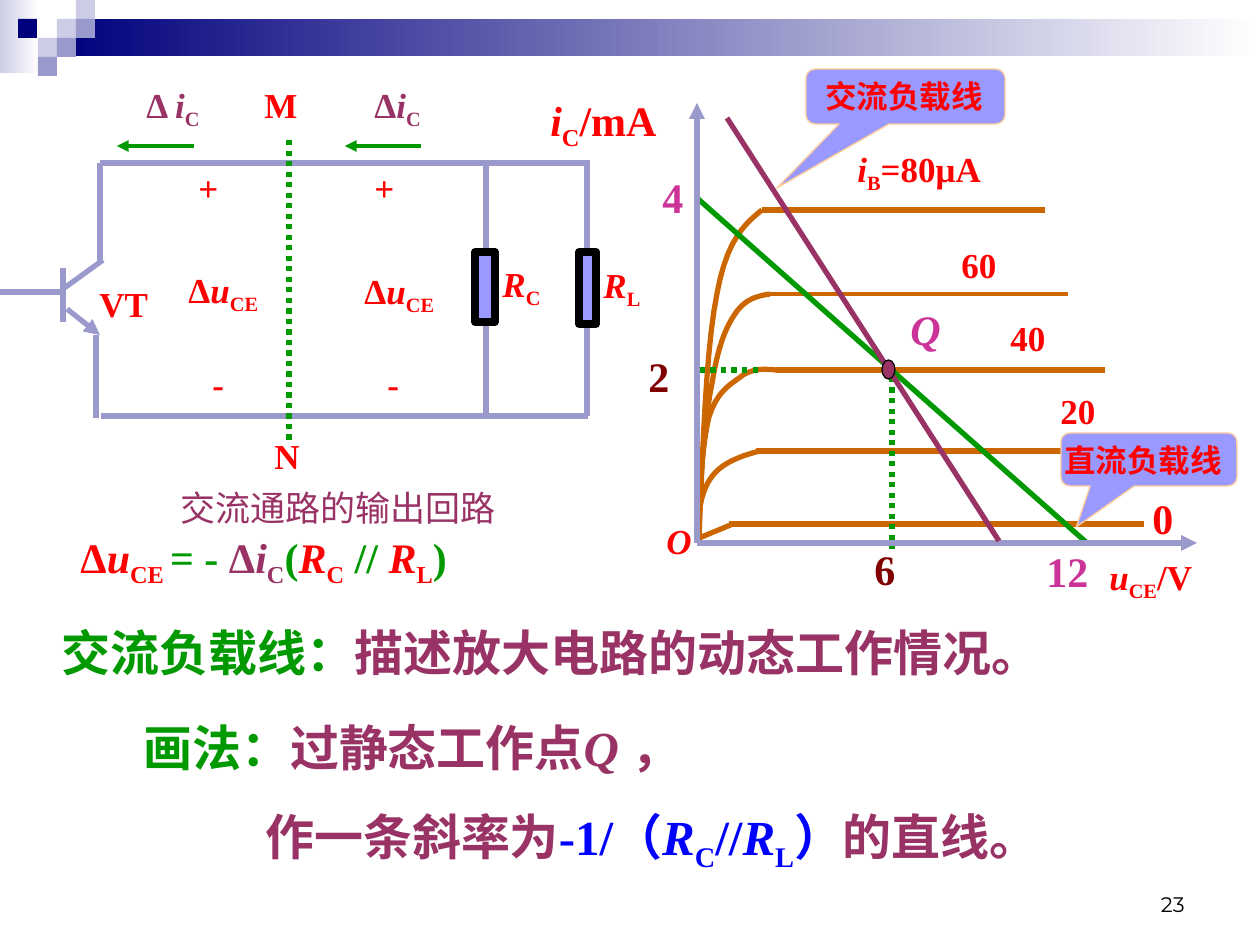
"""Build a slide on the AC load line of a transistor amplifier."""
import lxml.etree
import pptx
import pptx.dml.color
import pptx.enum.dml
import pptx.enum.shapes
import pptx.enum.text
import pptx.oxml.ns
import pptx.util

PX = 914400 // 126
RED, GREEN, PLUM, PINK = "FF0000", "009900", "993366", "CC3399"
MAROON, BLUE, WIRE, ORANGE = "800000", "0000FF", "9999CC", "CC6600"
LILAC, NAVY, PALE, BLACK, WHITE = "9999FF", "00007D", "CCCCE6", "000000", "FFFFFF"
SHAPES = pptx.enum.shapes.MSO_SHAPE
qn = pptx.oxml.ns.qn


def color(value):
    return pptx.dml.color.RGBColor.from_string(value)


def add_text(box, size, *paragraphs):
    frame = slide.shapes.add_textbox(*[n * PX for n in box]).text_frame
    frame.word_wrap = True
    frame.auto_size = pptx.enum.text.MSO_AUTO_SIZE.SHAPE_TO_FIT_TEXT
    for index, runs in enumerate(paragraphs):
        paragraph = frame.add_paragraph() if index else frame.paragraphs[0]
        if index:
            paragraph.space_before = pptx.util.Pt(size * 0.625)
        for text, style, hue in runs:
            run = paragraph.add_run()
            run.text = text
            values = {"name": "Times New Roman", "size": pptx.util.Pt(size),
                      "bold": style != "plain", "italic": style == "italic"}
            for name, value in values.items():
                setattr(run.font, name, value)
            run.font.color.rgb = color(hue)
            if style == "sub":
                run.font._element.set("baseline", "-25000")
    return frame


presentation = pptx.Presentation()
presentation.slide_width = pptx.util.Inches(10)
presentation.slide_height = pptx.util.Inches(7.5)
slide = presentation.slides.add_slide(presentation.slide_layouts[6])

for box, start in [((0, 0, 39, 73), PALE), ((57, 19, 1203, 37), NAVY)]:
    band = slide.shapes.add_shape(SHAPES.RECTANGLE, *[n * PX for n in box])
    band.shadow.inherit = False
    band.line.fill.background()
    band.fill.gradient()
    band.fill.gradient_angle = 0
    for stop, hue in zip(band.fill.gradient_stops, (start, WHITE)):
        stop.color.rgb = color(hue)

for left, top, hue in [(57, 19, PALE), (76, 0, PALE), (76, 19, WIRE), (38, 38, PALE),
                       (18, 19, NAVY), (57, 38, WIRE), (38, 57, WIRE)]:
    square = slide.shapes.add_shape(SHAPES.RECTANGLE, left * PX, top * PX, 19 * PX, 19 * PX)
    square.shadow.inherit = False
    square.fill.solid()
    square.fill.fore_color.rgb = color(hue)
    square.line.fill.background()

output_curves = [
    [(697, 539), (698, 517), (700, 493), (711, 478), (721, 463), (741, 456), (760, 451)],
    [(697, 543), (699, 494), (702, 446), (709, 417), (718, 389), (732, 384), (743, 375),
     (755, 368), (765, 369), (776, 370)],
    [(697, 539), (697, 539), (714, 532), (733, 524)],
    [(697, 539), (701, 481), (704, 422), (712, 384), (718, 347), (725, 329), (735, 314),
     (745, 299), (757, 296), (770, 294)],
    [(699, 539), (703, 445), (706, 349), (717, 294), (727, 239), (745, 224), (762, 210)],
]
STEPS = 10
for controls in output_curves:
    points = []
    for first in range(0, len(controls) - 1, 3):
        a, b, c, d = controls[first:first + 4]
        for t in [step / STEPS for step in range(1, STEPS + 1)]:
            weights = ((1 - t) ** 3, 3 * t * (1 - t) ** 2, 3 * t * t * (1 - t), t ** 3)
            points.append(tuple(sum(w * p[axis] for w, p in zip(weights, (a, b, c, d))) * PX
                                for axis in (0, 1)))
    builder = slide.shapes.build_freeform(controls[0][0] * PX, controls[0][1] * PX)
    builder.add_line_segments(points, close=False)
    curve = builder.convert_to_shape()
    curve.shadow.inherit = False
    curve.fill.background()
    curve.line.color.rgb = color(ORANGE)
    curve.line.width = pptx.util.Pt(3)

lines = [
    (756, 451, 1128, 451, ORANGE, 3, ""), (776, 370, 1105, 370, ORANGE, 3, ""),
    (729, 524, 1144, 524, ORANGE, 3, ""), (770, 294, 1068, 294, ORANGE, 2.25, ""),
    (762, 210, 1045, 210, ORANGE, 3, ""),
    (697, 198, 1087, 543, GREEN, 3, ""),
    (700, 370, 760, 370, GREEN, 3, "dot"), (892, 377, 892, 549, GREEN, 3, "dot"),
    (697, 543, 1197, 543, WIRE, 3, "arrow"), (697, 543, 697, 103, WIRE, 3, "arrow"),
    (587, 163, 587, 416, WIRE, 3, ""), (486, 166, 486, 415, WIRE, 3, ""),
    (100, 163, 590, 163, WIRE, 3, ""), (101, 416, 588, 416, WIRE, 3, ""),
    (289, 140, 289, 441, GREEN, 3, "dot"),
    (421, 146, 345, 146, GREEN, 2.25, "arrow"), (194, 146, 117, 146, GREEN, 2.25, "arrow"),
    (63, 268, 63, 322, WIRE, 3, ""), (67, 309, 100, 335, WIRE, 3, "arrow"),
    (63, 289, 103, 260, WIRE, 3, ""), (63, 292, 0, 292, WIRE, 3, ""),
    (96, 335, 96, 418, WIRE, 3, ""), (100, 262, 100, 163, WIRE, 3, ""),
    (727, 118, 999, 541, PLUM, 3, ""),
]
for x1, y1, x2, y2, hue, width, finish in lines:
    connector = slide.shapes.add_connector(pptx.enum.shapes.MSO_CONNECTOR.STRAIGHT,
                                           x1 * PX, y1 * PX, x2 * PX, y2 * PX)
    connector.line.color.rgb = color(hue)
    connector.line.width = pptx.util.Pt(width)
    if finish == "dot":
        connector.line.dash_style = pptx.enum.dml.MSO_LINE.ROUND_DOT
    properties = connector._element.spPr
    if finish == "arrow":
        lxml.etree.SubElement(properties.find(qn("a:ln")), qn("a:tailEnd"), type="triangle")
    lxml.etree.SubElement(properties, qn("a:effectLst"))

CALLOUT = SHAPES.ROUNDED_RECTANGULAR_CALLOUT
for kind, box, fill, outline, width, adjustments in [
    (CALLOUT, (806, 69, 199, 55), LILAC, "FFCC99", 0.75, (-0.646, 1.663, 0.167)),
    (CALLOUT, (1061, 433, 176, 53), LILAC, "FFCC99", 0.75, (-0.412, 1.271, 0.167)),
    (SHAPES.OVAL, (882, 360, 13, 19), PLUM, BLACK, 0.75, ()),
    (SHAPES.RECTANGLE, (475, 252, 20, 70), LILAC, BLACK, 4.5, ()),
    (SHAPES.RECTANGLE, (579, 252, 17, 72), LILAC, BLACK, 4.5, ()),
]:
    shape = slide.shapes.add_shape(kind, *[n * PX for n in box])
    shape.shadow.inherit = False
    shape.fill.solid()
    shape.fill.fore_color.rgb = color(fill)
    shape.line.color.rgb = color(outline)
    shape.line.width = pptx.util.Pt(width)
    for index, value in enumerate(adjustments):
        shape.adjustments[index] = value

for left, top, width, size, hue, text, style in [
    (813, 71, 185, 18, RED, "交流负载线", "bold"), (1052, 435, 185, 18, RED, "直流负载线", "bold"),
    (949, 237, 93, 20, RED, "60", "bold"), (998, 310, 86, 20, RED, "40", "bold"),
    (1048, 383, 73, 20, RED, "20", "bold"), (1140, 486, 50, 24, RED, "0", "bold"),
    (1034, 539, 86, 24, PINK, "12", "bold"), (650, 165, 83, 24, PINK, "4", "bold"),
    (636, 344, 55, 24, MAROON, "2", "bold"), (862, 537, 79, 24, MAROON, "6", "bold"),
    (898, 297, 67, 24, PINK, "Q", "italic"), (654, 513, 69, 20, RED, "O", "italic"),
    (87, 276, 96, 20, RED, "VT", "bold"), (252, 77, 89, 20, RED, "M", "bold"),
    (262, 428, 86, 20, RED, "N", "bold"),
    (362, 160, 63, 20, RED, "+", "bold"), (186, 160, 63, 20, RED, "+", "bold"),
    (375, 356, 73, 20, RED, "-", "bold"), (200, 356, 73, 20, RED, "-", "bold"),
    (168, 480, 484, 20, PLUM, "交流通路的输出回路", "plain"),
]:
    add_text((left, top, width, size * 3 - 5), size, [(text, style, hue)])

for left, top, width, size, hue, prefix, symbol, subscript, suffix in [
    (845, 141, 195, 20, RED, "", "i", "B", "=80μА"),
    (538, 88, 152, 24, RED, "", "i", "C", "/mA"),
    (1097, 549, 140, 20, RED, "", "u", "CE", "/V"),
    (352, 263, 120, 20, RED, "Δ", "u", "CE", ""),
    (176, 262, 120, 20, RED, "Δ", "u", "CE", ""),
    (362, 77, 113, 20, PLUM, "Δ", "i", "C", ""),
    (134, 77, 113, 20, PLUM, "Δ ", "i", "C", ""),
    (490, 256, 89, 20, RED, "", "R", "C", ""),
    (591, 257, 83, 20, RED, "", "R", "L", ""),
]:
    parts = [(prefix, "bold"), (symbol, "italic"), (subscript, "sub"), (suffix, "bold")]
    add_text((left, top, width, size * 3), size,
             [(text, style, hue) for text, style in parts if text])

add_text((68, 525, 473, 71), 24, [
    ("Δ", "bold", RED), ("u", "italic", RED), ("CE ", "sub", RED), ("= - ", "bold", GREEN),
    ("Δ", "bold", PLUM), ("i", "italic", PLUM), ("C", "sub", PLUM), ("(", "bold", GREEN),
    ("R", "italic", RED), ("C", "sub", RED), (" // ", "bold", GREEN),
    ("R", "italic", RED), ("L", "sub", RED), (")", "bold", GREEN)])
add_text((49, 616, 1077, 72), 28,
         [("交流负载线：", "bold", GREEN), ("描述放大电路的动态工作情况。", "bold", PLUM)])
method = add_text(
    (131, 711, 1024, 169), 28,
    [("画法：", "bold", GREEN), ("过静态工作点", "bold", PLUM), ("Q ", "italic", PLUM),
     ("，", "bold", PLUM)],
    [("作一条斜率为", "bold", PLUM), ("-1/（", "bold", BLUE), ("R", "italic", BLUE),
     ("C", "sub", BLUE), ("//", "bold", BLUE), ("R", "italic", BLUE), ("L", "sub", BLUE),
     ("）", "bold", BLUE), ("的直线。", "bold", PLUM)])
method.paragraphs[1]._p.get_or_add_pPr().set("marL", str(122 * PX))

number = add_text((903, 885, 294, 39), 12, [("23", "plain", BLACK)])
number.paragraphs[0].alignment = pptx.enum.text.PP_ALIGN.RIGHT
number.paragraphs[0].runs[0].font.name = "Montserrat"

presentation.save("out.pptx")
